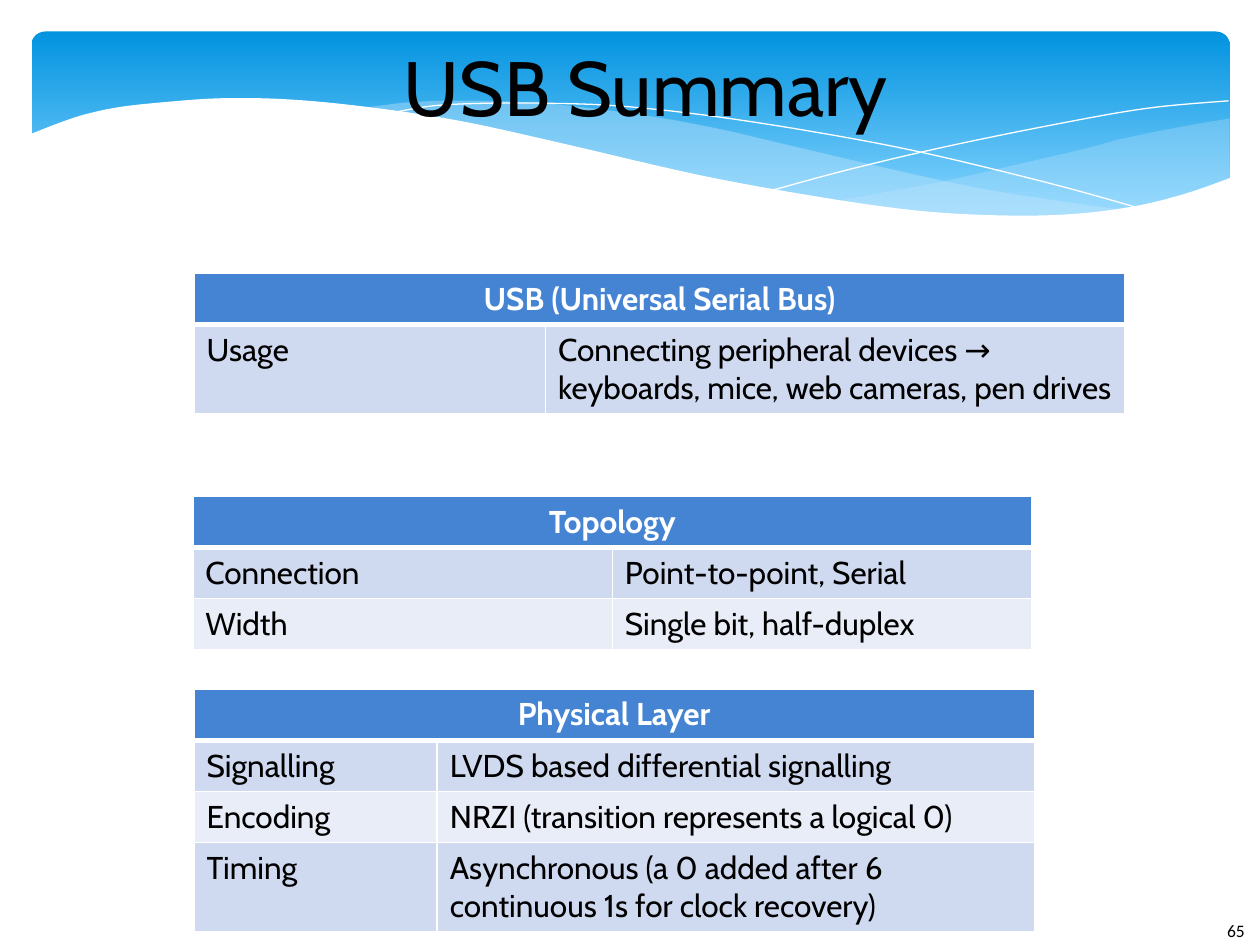
from typing import NamedTuple, Optional

from lxml import etree
from pptx import Presentation
from pptx.dml.color import RGBColor
from pptx.enum.shapes import MSO_SHAPE
from pptx.enum.text import MSO_ANCHOR, PP_ALIGN
from pptx.oxml.ns import qn
from pptx.util import Inches, Pt

ROUND_RECT = MSO_SHAPE.ROUNDED_RECTANGLE
LEFT, CENTER = PP_ALIGN.LEFT, PP_ALIGN.CENTER
MIDDLE = MSO_ANCHOR.MIDDLE
WIDTH, HEIGHT = Inches(10), Inches(7.5)
COLS, ROWS = 100, 75
ROW_HEIGHT = 4.06
WHITE, BLACK, HEADER, PALE = "FFFFFF", "000000", "4584D3", "C6E7FC"
BANDS = ("CFD9EF", "E9EDF7")
STEPS = 6


class Wave(NamedTuple):
    """A smooth curve, with optional straight corners that close it."""
    edges: tuple
    corners: tuple = ()
    fill: Optional[str] = None
    opacity: int = 100


class Summary(NamedTuple):
    """A two-column table under one merged header."""
    left: float
    top: float
    widths: tuple
    header: str
    rows: tuple


WAVES = (
    Wave((((97.6, 9.4), (93.5, 10.1), (89.1, 11), (86.1, 11.8), (80.5, 13.1),
           (75.3, 14.3), (70.6, 15.2), (66.1, 16)),
          ((66.1, 16), (70.5, 16.5), (74.5, 16.9), (79.2, 17.2), (83.5, 17.2),
           (87.2, 16.9), (90.5, 16.3), (93.5, 15.6), (97.6, 14.1))),
         fill=PALE, opacity=29),
    Wave((((89.3, 16.7), (83.7, 15.9), (77.5, 14.9), (70.6, 13.4), (62.9, 11.6),
           (56.9, 10.2), (51.4, 9.2), (44.2, 8.3), (38, 8), (32.8, 8.1), (28.6, 8.6)),
          ((28.6, 8.6), (34.2, 9.4), (40.4, 10.6), (49.1, 12.6), (56.6, 14.3),
           (63.4, 15.6), (69.5, 16.5), (74.8, 17), (79.6, 17.3), (83.8, 17.2),
           (89.3, 16.7))),
         fill=PALE, opacity=40),
    Wave((((30.9, 9), (34.4, 8.4), (38.7, 8.2), (43.3, 8.2), (48.9, 8.4),
           (55.6, 9.1), (63.6, 10.3), (72.7, 12), (83.1, 14.5), (90.7, 16.6)),)),
    Wave((((61.3, 15.1), (67.2, 13.5), (74.8, 11.7), (83.6, 9.9), (91, 8.6),
           (97.5, 8)),)),
    Wave((((97.7, 14.1), (94, 15.4), (89.9, 16.4), (85, 17), (79.3, 17.1),
           (72.6, 16.7), (64.8, 15.6), (55.5, 13.9), (44.7, 11.4), (36.5, 9.6),
           (29.2, 8.5), (23, 7.9), (17.7, 7.8), (13.2, 8.1), (9.5, 8.5),
           (6.7, 9.1), (4.6, 9.8), (2.3, 10.7)),),
         corners=((2.3, 22.4), (97.7, 22.4)), fill=WHITE),
)

SUMMARIES = (
    Summary(15.4, 21.7, (27.9, 46), "USB (Universal Serial Bus)", (
        ("Usage", "Connecting peripheral devices → keyboards, mice, web cameras, pen drives"),)),
    Summary(15.3, 39.4, (33.3, 33.3), "Topology", (
        ("Connection", "Point-to-point, Serial"),
        ("Width", "Single bit, half-duplex"))),
    Summary(15.4, 54.7, (19.3, 47.4), "Physical Layer", (
        ("Signalling", "LVDS based differential signalling"),
        ("Encoding", "NRZI (transition represents a logical 0)"),
        ("Timing", "Asynchronous (a 0 added after 6 continuous 1s for clock recovery)"))),
)


def gx(cols: float) -> int:
    """Convert grid columns to a length."""
    return round(cols * WIDTH / COLS)


def gy(rows: float) -> int:
    """Convert grid rows to a length."""
    return round(rows * HEIGHT / ROWS)


def rgb(color: str) -> RGBColor:
    """Turn a hex string into a colour."""
    return RGBColor.from_string(color)


def write(tf, text: str, *, size: float = 18, font: str = "Cabin",
          color: str = BLACK, bold: bool = False, align=LEFT) -> None:
    """Write one formatted paragraph into a text frame."""
    p = tf.paragraphs[0]
    p.alignment = align
    r = p.add_run()
    r.text = text
    r.font.size, r.font.name, r.font.bold = Pt(size), font, bold
    r.font.color.rgb = rgb(color)


def smooth(points: tuple) -> list:
    """Return a dense Catmull-Rom curve through the points."""
    padded = (points[0], *points, points[-1])
    curve = [points[0]]
    for a, b, c, d in zip(padded, padded[1:], padded[2:], padded[3:]):
        for step in range(1, STEPS + 1):
            t = step / STEPS
            curve.append(tuple(
                (2 * q + (r - p) * t + (2 * p - 5 * q + 4 * r - s) * t ** 2
                 + (3 * q - p - 3 * r + s) * t ** 3) / 2
                for p, q, r, s in zip(a, b, c, d)))
    return curve


def draw_wave(shapes, wave: Wave) -> None:
    """Draw a filled wave or a white hairline."""
    points = [pt for edge in wave.edges for pt in smooth(edge)] + list(wave.corners)
    start, *rest = [(gx(x), gy(y)) for x, y in points]
    builder = shapes.build_freeform(*start)
    builder.add_line_segments(rest, close=wave.fill is not None)
    sp = builder.convert_to_shape()
    sp.shadow.inherit = False
    if wave.fill is None:
        sp.fill.background()
        sp.line.color.rgb = rgb(WHITE)
        sp.line.width = Pt(0)
        return
    sp.line.fill.background()
    sp.fill.solid()
    sp.fill.fore_color.rgb = rgb(wave.fill)
    if wave.opacity < 100:
        color = sp._element.spPr.find(qn("a:solidFill"))[0]
        etree.SubElement(color, qn("a:alpha"), val=str(wave.opacity * 1000))


def draw_banner(s) -> None:
    """Draw the gradient banner and the waves over it."""
    sp = s.shapes.add_shape(ROUND_RECT, gx(2.5), gy(2.5), gx(95.1), gy(15.6))
    sp.adjustments[0] = 0.07
    sp.shadow.inherit = False
    sp.line.fill.background()
    sp.fill.gradient()
    sp.fill.gradient_angle = 270
    for stop, position, color in zip(sp.fill.gradient_stops, (0, 0.9), ("0293E0", "83D3FE")):
        stop.position, stop.color.rgb = position, rgb(color)
    group = s.shapes.add_group_shape()
    for wave in WAVES:
        draw_wave(group.shapes, wave)


def style_cell(cell, fill: str, bottom: float, top: float) -> None:
    """Give a cell its white borders and its fill."""
    tc_pr = cell._tc.get_or_add_tcPr()
    for side, width in (("L", 1), ("R", 1), ("T", top), ("B", bottom)):
        ln = etree.SubElement(tc_pr, qn(f"a:ln{side}"), w=str(Pt(width)))
        solid = etree.SubElement(ln, qn("a:solidFill"))
        etree.SubElement(solid, qn("a:srgbClr"), val=WHITE)
    cell.fill.solid()
    cell.fill.fore_color.rgb = rgb(fill)


def draw_summary(s, summary: Summary) -> None:
    """Draw one summary table."""
    count = len(summary.rows) + 1
    table = s.shapes.add_table(count, 2, gx(summary.left), gy(summary.top),
                               gx(sum(summary.widths)), gy(ROW_HEIGHT * count)).table
    table.horz_banding = False
    for column, width in zip(table.columns, summary.widths):
        column.width = gx(width)
    table.cell(0, 0).merge(table.cell(0, 1))
    write(table.cell(0, 0).text_frame, summary.header, color=WHITE, bold=True, align=CENTER)
    for i in range(count):
        fill = BANDS[(i - 1) % 2] if i else HEADER
        for j in range(2):
            cell = table.cell(i, j)
            style_cell(cell, fill, bottom=1 if i else 3, top=3 if i == 1 else 1)
            if i:
                write(cell.text_frame, summary.rows[i - 1][j])


def draw_title(s, text: str) -> None:
    """Place the title over the banner."""
    sp = s.shapes.title
    sp.left, sp.top, sp.width, sp.height = gx(10.7), gy(1.7), gx(81.1), gy(10.2)
    tf = sp.text_frame
    tf.margin_left = tf.margin_right = tf.margin_top = tf.margin_bottom = 0
    tf.vertical_anchor = MIDDLE
    write(tf, text, size=44, align=CENTER)
    s.shapes._spTree.append(sp._element)


def main() -> None:
    """Build and save the slide."""
    prs = Presentation()
    prs.slide_width, prs.slide_height = WIDTH, HEIGHT
    s = prs.slides.add_slide(prs.slide_layouts[5])
    draw_banner(s)
    number = s.shapes.add_textbox(gx(96.4), gy(72.5), gx(3.6), gy(2.5))
    write(number.text_frame, "65", size=10, font="Calibri")
    draw_title(s, "USB Summary")
    for summary in SUMMARIES:
        draw_summary(s, summary)
    prs.save("out.pptx")


if __name__ == "__main__":
    main()
